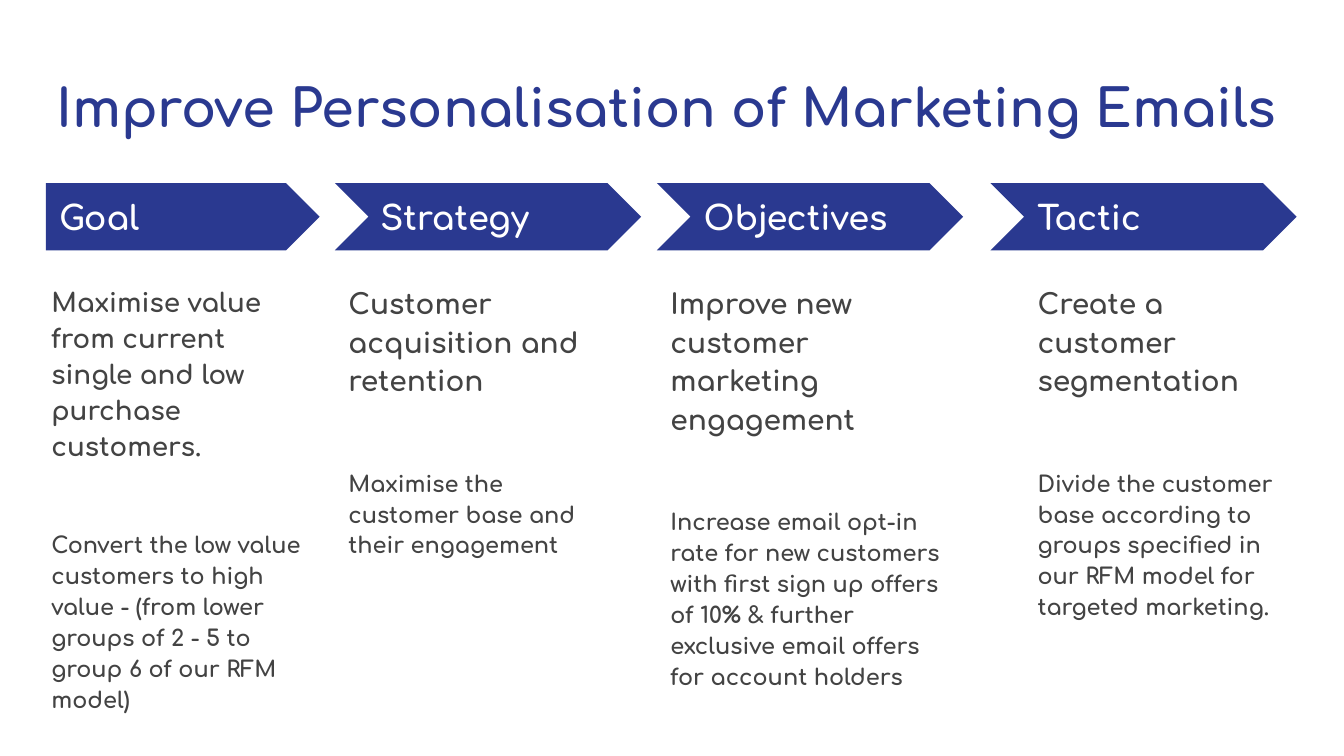
from pptx import Presentation
from pptx import util as u
from pptx.dml import color
from pptx.enum import shapes, text
from pptx.oxml import ns, xmlchemy

CELL = 0.1
FONT = "Comfortaa"
BLUE, GREY, WHITE = "2A3990", "434343", "FFFFFF"
ARROW_TOP, ARROW_H = 13.63, 5
HEAD_TOP, HEAD_W, HEAD_H = 14.85, 18.6, 2.6
BODY_TOP = 19.95
COLUMNS = [
    dict(head="Goal", left=3.42, width=20.36, head_dx=0, body_dx=-0.6, body_w=21.5, body_h=33.8,
         size=14, gap=35.3, lead="Maximise value from current single and low purchase customers.",
         detail="Convert the low value customers to high value - (from lower groups of 2 - 5 "
                "to group 6 of our RFM model)"),
    dict(head="Strategy", left=24.92, width=22.78, head_dx=2.4, body_dx=0, body_w=20.4, body_h=31,
         size=15, gap=36.6, lead="Customer acquisition and retention",
         detail="Maximise the customer base and their engagement"),
    dict(head="Objectives", left=48.88, width=22.78, head_dx=2.5, body_dx=0, body_w=22.8, body_h=33.8,
         size=15, gap=36.6, lead="Improve new customer marketing engagement",
         detail="Increase email opt-in rate for new customers with first sign up offers of 10% "
                "& further exclusive email offers for account holders"),
    dict(head="Tactic", left=73.7, width=22.78, head_dx=2.5, body_dx=2.5, body_w=20.4, body_h=34.7,
         size=15, gap=36.6, lead="Create a customer segmentation",
         detail="Divide the customer base according to groups specified in our RFM model for "
                "targeted marketing."),
]


def rgb(value):
    """Turn a hex string into a colour."""
    return color.RGBColor.from_string(value)


def grid(*cells):
    """Turn grid cells into slide lengths."""
    return [u.Inches(c * CELL) for c in cells]


def place(sp, box):
    """Move a shape to a box given in grid cells."""
    sp.left, sp.top, sp.width, sp.height = grid(*box)


def frame(sp, anchor=text.MSO_ANCHOR.TOP):
    """Prepare the text frame of a shape and return it."""
    tf = sp.text_frame
    tf.word_wrap = True
    tf.auto_size = text.MSO_AUTO_SIZE.NONE
    tf.vertical_anchor = anchor
    tf.margin_left = tf.margin_right = tf.margin_top = tf.margin_bottom = u.Inches(0.1)
    return tf


def write(p, words, size, hue, before=0, spacing=1.0):
    """Write one left-aligned bold paragraph without a bullet."""
    p.text = words
    p.alignment = text.PP_ALIGN.LEFT
    p.line_spacing = spacing
    p.space_before = u.Pt(before)
    pPr = p._p.get_or_add_pPr()
    pPr.set("marL", "0")
    pPr.set("indent", "0")
    pPr.append(xmlchemy.OxmlElement("a:buNone"))
    for r in p.runs:
        r.font.name, r.font.size, r.font.bold = FONT, u.Pt(size), True
        r.font.color.rgb = rgb(hue)


def add_title(s, words, box):
    """Fill the title placeholder."""
    place(s.shapes.title, box)
    write(frame(s.shapes.title).paragraphs[0], words, 28, BLUE)


def add_arrow(s, kind, words, box, head_dx):
    """Draw an arrow and its heading, offset from the arrow's left edge."""
    sp = s.shapes.add_shape(kind, *grid(*box))
    sp.shadow.inherit = False
    sp.fill.solid()
    sp.fill.fore_color.rgb = rgb(BLUE)
    sp.line.fill.background()
    head = s.shapes.add_textbox(*grid(box[0] + head_dx, HEAD_TOP, HEAD_W, HEAD_H))
    write(frame(head, text.MSO_ANCHOR.MIDDLE).paragraphs[0], words, 18, WHITE)


def add_body(sp, col):
    """Fill a body placeholder with a lead and a detail paragraph."""
    place(sp, (col["left"] + col["body_dx"], BODY_TOP, col["body_w"], col["body_h"]))
    tf = frame(sp)
    write(tf.paragraphs[0], col["lead"], col["size"], GREY, spacing=1.15)
    write(tf.add_paragraph(), col["detail"], 12, GREY, col["gap"], 1.15)


def main():
    """Build the slide and save it."""
    prs = Presentation()
    prs.slide_width, prs.slide_height = grid(100, 100 * 9 / 16)
    s = prs.slides.add_slide(prs.slide_layouts.get_by_name("Comparison"))
    add_title(s, "Improve Personalisation of Marketing Emails", (3.2, 4.6, 93.6, 6.6))
    bodies = [sp for sp in s.placeholders if sp.placeholder_format.idx in range(1, 5)]
    for i, (sp, col) in enumerate(zip(bodies, COLUMNS)):
        kind = shapes.MSO_SHAPE.CHEVRON if i else shapes.MSO_SHAPE.PENTAGON
        add_arrow(s, kind, col["head"], (col["left"], ARROW_TOP, col["width"], ARROW_H), col["head_dx"])
        add_body(sp, col)
    prs.save("out.pptx")


if __name__ == "__main__":
    main()
